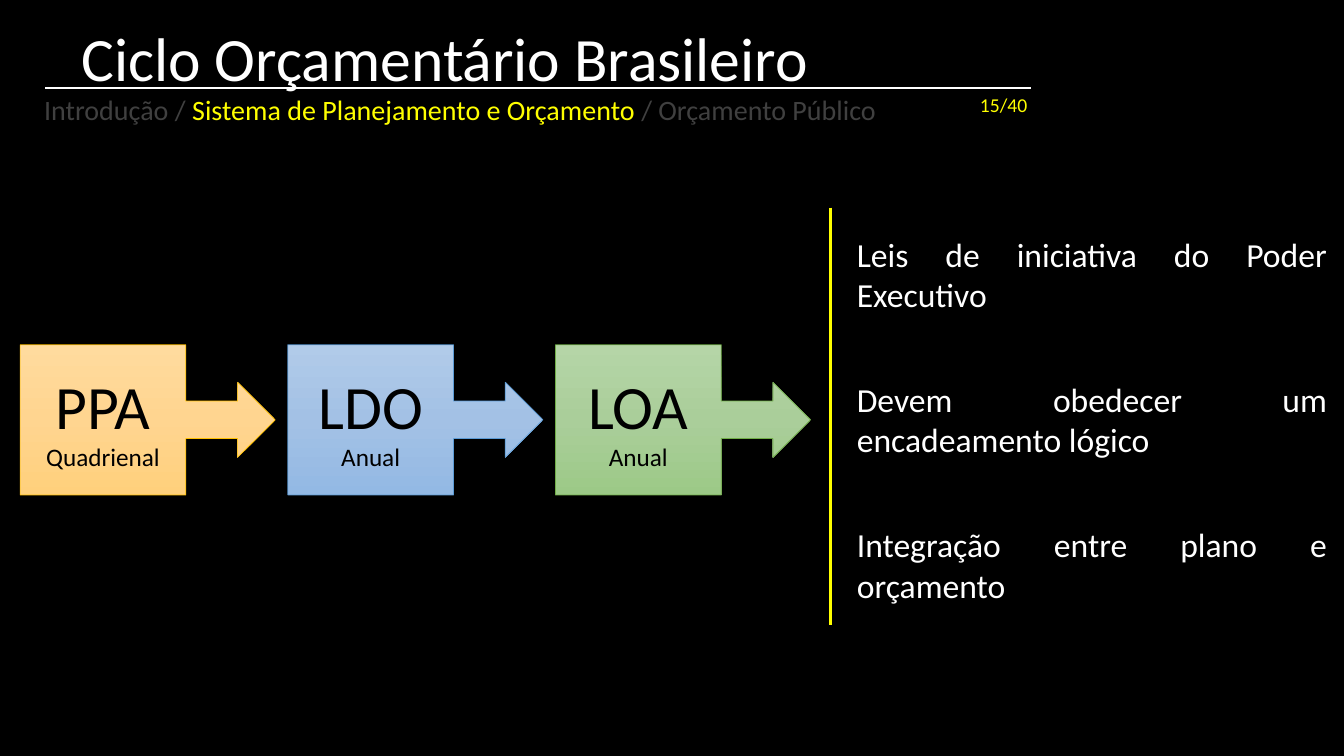
import copy
from dataclasses import dataclass

import pptx
import pptx.dml.color
import pptx.enum.shapes
import pptx.enum.text
import pptx.oxml.ns
import pptx.oxml.xmlchemy
import pptx.util
from pptx.util import Inches

ALIGN = pptx.enum.text.PP_ALIGN
ANCHOR = pptx.enum.text.MSO_ANCHOR
FONT = "Calibri"
COLORS = {
    "background": "000000",
    "text": "FFFFFF",
    "callout_text": "000000",
    "muted": "404040",
    "accent": "FFFF00",
}


@dataclass
class Run:
    text: str
    size: float
    color: str


@dataclass
class Stage:
    name: str
    period: str
    gradient: tuple[str, str, str]
    border: str


STAGES = [
    Stage("PPA", "Quadrienal", ("FFDB9E", "FFD590", "FFD07C"), "FFC000"),
    Stage("LDO", "Anual", ("B1CBE9", "A3C1E5", "93B9E4"), "5B9BD5"),
    Stage("LOA", "Anual", ("B5D5A7", "AACE9A", "9CC987"), "70AD47"),
]
STAGE_LEFT, STAGE_PITCH = 0.2, 2.655

NOTES = [
    "Leis de iniciativa do Poder Executivo",
    "Devem obedecer um encadeamento lógico",
    "Integração entre plano e orçamento",
]
NOTE_TOP, NOTE_PITCH = 2.27, 1.44


def rgb(value: str) -> pptx.dml.color.RGBColor:
    return pptx.dml.color.RGBColor.from_string(value)


def write(sp, paragraphs: list[list[Run]], *, align=ALIGN.LEFT,
          anchor=ANCHOR.TOP, wrap: bool = True, grow: bool = True) -> None:
    tf = sp.text_frame
    tf.word_wrap = wrap
    tf.vertical_anchor = anchor
    if grow:
        tf.auto_size = pptx.enum.text.MSO_AUTO_SIZE.SHAPE_TO_FIT_TEXT
    for i, runs in enumerate(paragraphs):
        p = tf.paragraphs[0] if i == 0 else tf.add_paragraph()
        p.alignment = align
        for run in runs:
            r = p.add_run()
            r.text = run.text
            r.font.name = FONT
            r.font.size = pptx.util.Pt(run.size)
            r.font.color.rgb = rgb(run.color)


def add_text(s, left: float, top: float, width: float, height: float,
             runs: list[Run], **fmt) -> None:
    sp = s.shapes.add_textbox(Inches(left), Inches(top), Inches(width), Inches(height))
    write(sp, [runs], **fmt)


def add_line(s, x1: float, y1: float, x2: float, y2: float,
             color: str, weight: float) -> None:
    line = s.shapes.add_connector(
        pptx.enum.shapes.MSO_CONNECTOR.STRAIGHT,
        Inches(x1), Inches(y1), Inches(x2), Inches(y2))
    line.line.color.rgb = rgb(color)
    line.line.width = pptx.util.Pt(weight)
    sppr = line._element.spPr
    sppr.append(sppr.makeelement(pptx.oxml.ns.qn("a:effectLst"), {}))


def fill_gradient(sp, colors: tuple[str, str, str]) -> None:
    sp.fill.gradient()
    sp.fill.gradient_angle = 270
    first = next(sp._element.spPr.iter(pptx.oxml.ns.qn("a:gs")))
    first.addnext(copy.deepcopy(first))
    for i, (stop, color) in enumerate(zip(sp.fill.gradient_stops, colors)):
        stop.position = i / 2
        stop.color.rgb = rgb(color)


def add_stage(s, left: float, stage: Stage) -> None:
    sp = s.shapes.add_shape(
        pptx.enum.shapes.MSO_SHAPE.RIGHT_ARROW_CALLOUT,
        Inches(left), Inches(3.42), Inches(2.53), Inches(1.49))
    sp.shadow.inherit = False
    fill_gradient(sp, stage.gradient)
    sp.line.color.rgb = rgb(stage.border)
    sp.line.width = pptx.util.Pt(0.5)
    color = COLORS["callout_text"]
    write(sp, [[Run(stage.name, 44, color)], [Run(stage.period, 18, color)]],
          align=ALIGN.CENTER, anchor=ANCHOR.MIDDLE, grow=False)


def main() -> None:
    prs = pptx.Presentation()
    prs.slide_width, prs.slide_height = Inches(13.33), Inches(7.5)
    s = prs.slides.add_slide(prs.slide_layouts[6])
    s.background.fill.solid()
    s.background.fill.fore_color.rgb = rgb(COLORS["background"])

    add_text(s, 0.71, 0.14, 9.15, 0.84,
             [Run("Ciclo Orçamentário Brasileiro", 44, COLORS["text"])],
             anchor=ANCHOR.MIDDLE)
    add_line(s, 0.45, 0.87, 10.23, 0.87, COLORS["text"], 1.5)
    add_text(s, 0.34, 0.87, 8.53, 0.44, [
        Run("Introdução / ", 20, COLORS["muted"]),
        Run("Sistema de Planejamento e Orçamento", 20, COLORS["accent"]),
        Run(" / Orçamento Público", 20, COLORS["muted"]),
    ], wrap=False)

    for i, stage in enumerate(STAGES):
        add_stage(s, STAGE_LEFT + i * STAGE_PITCH, stage)

    add_line(s, 8.24, 2.06, 8.24, 6.2, COLORS["accent"], 2.25)
    for i, note in enumerate(NOTES):
        add_text(s, 8.4, NOTE_TOP + i * NOTE_PITCH, 4.86, 0.91,
                 [Run(note, 24, COLORS["text"])], align=ALIGN.JUSTIFY)
    add_text(s, 9.62, 0.87, 0.68, 0.34,
             [Run("15/40", 14, COLORS["accent"])], wrap=False)
    prs.save("out.pptx")


if __name__ == "__main__":
    main()
